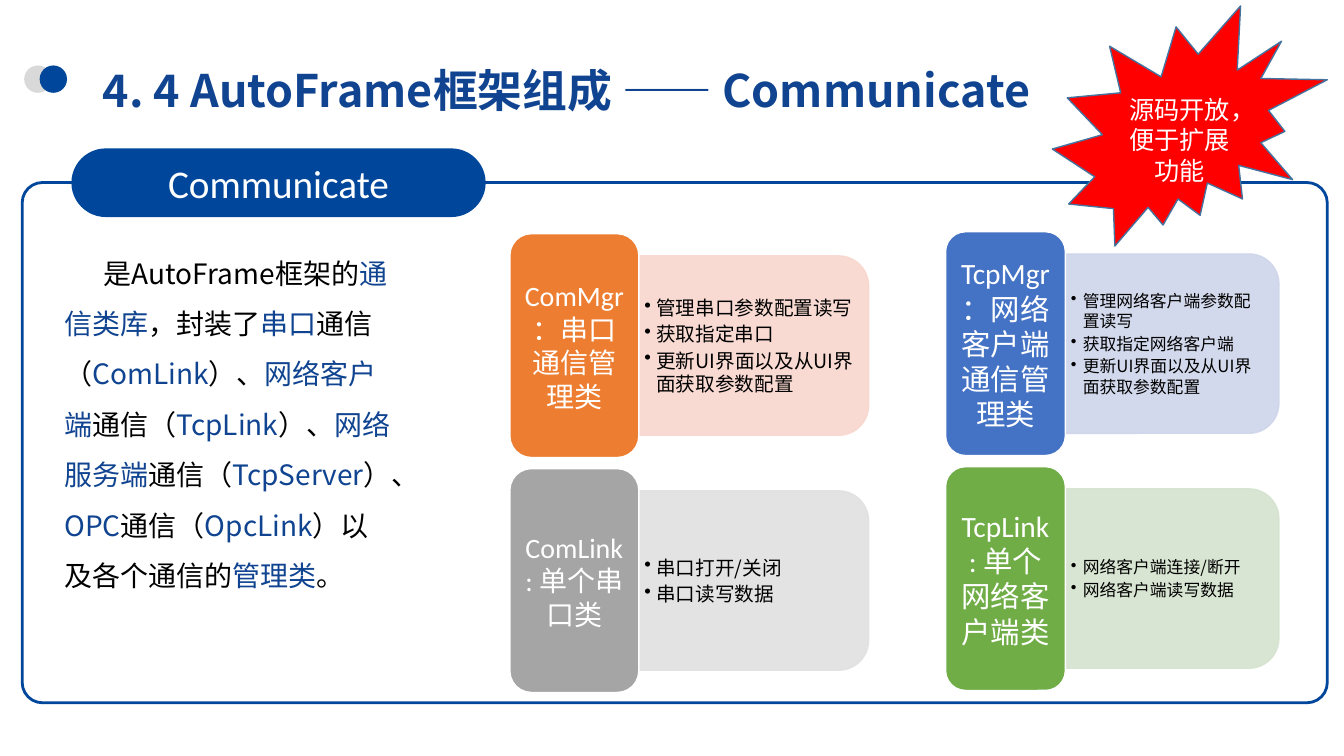
from itertools import cycle

from lxml.etree import SubElement
from pptx import Presentation
from pptx.dml.color import RGBColor
from pptx.enum.shapes import MSO_SHAPE as Preset
from pptx.enum.text import MSO_ANCHOR as Anchor, PP_ALIGN as Align
from pptx.oxml.ns import qn
from pptx.util import Cm, Pt

SANS = "Noto Sans CJK SC"
LATIN = "Calibri"

WHITE = RGBColor(0xFF, 0xFF, 0xFF)
BLACK = RGBColor(0, 0, 0)
NAVY = RGBColor(0x00, 0x47, 0x9B)
TEXT_BLUE = RGBColor(0x10, 0x44, 0x91)
LIGHT_GREY = RGBColor(0xD9, 0xD9, 0xD9)
RED = RGBColor(0xFF, 0, 0)
SEAL_LINE = RGBColor(0x43, 0x73, 0x9E)
ORANGE = RGBColor(0xED, 0x7D, 0x31)
ORANGE_TINT = RGBColor(0xF8, 0xD7, 0xCE)
GREY = RGBColor(0xA5, 0xA5, 0xA5)
GREY_TINT = RGBColor(0xE1, 0xE1, 0xE1)
BLUE = RGBColor(0x44, 0x72, 0xC4)
BLUE_TINT = RGBColor(0xCF, 0xD5, 0xEA)
GREEN = RGBColor(0x70, 0xAD, 0x47)
GREEN_TINT = RGBColor(0xD5, 0xE3, 0xCF)

# Spans alternate between plain and highlighted text
INTRO = [
    "是AutoFrame框架的", "通信类库", "，封装了", "串口", "通信（", "ComLink",
    "）、", "网络客户端", "通信（", "TcpLink", "）、", "网络服务端", "通信（",
    "TcpServer", "）、", "OPC", "通信（", "OpcLink", "）以及各个通信的", "管理类", "。",
]
SERIAL_CARDS = [
    ("ComMgr：串口通信管理类", ORANGE, ORANGE_TINT,
     ["管理串口参数配置读写", "获取指定串口", "更新UI界面以及从UI界面获取参数配置"]),
    ("ComLink: 单个串口类", GREY, GREY_TINT, ["串口打开/关闭", "串口读写数据"]),
]
NETWORK_CARDS = [
    ("TcpMgr：网络客户端通信管理类", BLUE, BLUE_TINT,
     ["管理网络客户端参数配置读写", "获取指定网络客户端", "更新UI界面以及从UI界面获取参数配置"]),
    ("TcpLink: 单个网络客户端类", GREEN, GREEN_TINT,
     ["网络客户端连接/断开", "网络客户端读写数据"]),
]
CARD_HEIGHT, CARD_PITCH = 5.64, 5.92
DETAIL_HEIGHT = 4.52


def add_preset(page, preset, left, top, width, height, fill=None, line=None, weight=1):
    shape = page.shapes.add_shape(preset, Cm(left), Cm(top), Cm(width), Cm(height))
    shape.shadow.inherit = False
    if fill is None:
        shape.fill.background()
    else:
        shape.fill.solid()
        shape.fill.fore_color.rgb = fill
    if line is None:
        shape.line.fill.background()
    else:
        shape.line.color.rgb = line
        shape.line.width = Pt(weight)
    return shape


def set_frame(shape, anchor, insets=(0.25, 0.13, 0.25, 0.13)):
    """Wrap the text, anchor it, and set left, top, right and bottom insets."""
    frame = shape.text_frame
    frame.word_wrap = True
    frame.vertical_anchor = anchor
    (frame.margin_left, frame.margin_top,
     frame.margin_right, frame.margin_bottom) = map(Cm, insets)
    return frame


def add_text_box(page, left, top, width, height, anchor, **options):
    box = page.shapes.add_textbox(Cm(left), Cm(top), Cm(width), Cm(height))
    return set_frame(box, anchor, **options)


def add_span(para, text, size, color, font=SANS, bold=False):
    span = para.add_run()
    span.text = text
    span.font.size = Pt(size)
    span.font.bold = bold
    span.font.color.rgb = color
    span.font.name = font
    SubElement(span.font._element, qn("a:ea")).set("typeface", SANS)


def add_centred_text(shape, text, size, insets=(0.25, 0.13, 0.25, 0.13)):
    para = set_frame(shape, Anchor.MIDDLE, insets).paragraphs[0]
    para.alignment = Align.CENTER
    add_span(para, text, size, WHITE, LATIN)


def set_indent(para, left, first):
    properties = para._p.get_or_add_pPr()
    properties.set("marL", str(Cm(left)))
    properties.set("indent", str(Cm(first)))
    return properties


def add_header(page, left, top, width, height):
    dot = 0.69
    for offset, color in ((0, LIGHT_GREY), (0.39, NAVY)):
        add_preset(page, Preset.OVAL, left + offset, top + 0.63, dot, dot, color)
    title_left = left + 1.73
    frame = add_text_box(page, title_left, top, left + width - title_left, height,
                         Anchor.MIDDLE)
    para = frame.paragraphs[0]
    para.line_spacing = 1.4
    add_span(para, "4. 4 AutoFrame框架组成 —— Communicate", 32, TEXT_BLUE, bold=True)


def add_panel(page, left, top, width, height):
    """Outlined panel with its heading pill and the introduction text."""
    outline = add_preset(page, Preset.ROUNDED_RECTANGLE, left, top, width, height,
                         line=NAVY, weight=2)
    outline.adjustments[0] = 0.039
    pill = add_preset(page, Preset.ROUNDED_RECTANGLE, left + 1.24, top - 0.86,
                      10.44, 1.73, NAVY)
    pill.adjustments[0] = 0.5
    add_centred_text(pill, "Communicate", 28)

    frame = add_text_box(page, left + 0.81, top + 1.3, 8.84, 10.52, Anchor.TOP)
    para = frame.paragraphs[0]
    set_indent(para, 0, 1)
    para.line_spacing = 1.5
    for text, color in zip(INTRO, cycle((BLACK, TEXT_BLUE))):
        add_span(para, text, 20, color)


def add_seal(page, left, top, width, height):
    seal = add_preset(page, Preset.EXPLOSION2, left, top, width, height, RED, SEAL_LINE)
    add_centred_text(seal, "源码开放，便于扩展功能", 18, (0, 0.5, 0, 0))


def add_card(page, left, top, name_width, detail_width, card, name_size, detail_size,
             name_inset):
    """Coloured class name with a tinted tab of details on its right."""
    name, color, tint, details = card
    detail_left = left + name_width
    middle = top + CARD_HEIGHT / 2

    # The tab is turned by 90 degrees, so its frame has the sides swapped
    tab = add_preset(page, Preset.ROUND_2_SAME_RECTANGLE,
                     detail_left + (detail_width - DETAIL_HEIGHT) / 2,
                     middle - detail_width / 2, DETAIL_HEIGHT, detail_width, tint, tint)
    tab.rotation = 90
    for swatch in tab._element.spPr.iter(qn("a:srgbClr")):
        SubElement(swatch, qn("a:alpha")).set("val", "90000")

    text_height = 4.06
    frame = add_text_box(page, detail_left, middle - text_height / 2,
                         detail_width - 0.22, text_height, Anchor.MIDDLE,
                         insets=(0.14, 0.08, 0.14, 0.08))
    for index, detail in enumerate(details):
        para = frame.add_paragraph() if index else frame.paragraphs[0]
        properties = set_indent(para, 0.3, -0.3)
        para.space_after = Pt(0.15 * detail_size)
        SubElement(properties, qn("a:buChar")).set("char", "•")
        add_span(para, detail, detail_size, BLACK)

    plate = add_preset(page, Preset.ROUNDED_RECTANGLE, left, top, name_width,
                       CARD_HEIGHT, color, WHITE)
    add_centred_text(plate, name, name_size, (name_inset, 0.1, name_inset, 0.1))


def add_card_column(page, left, top, name_width, detail_width, cards, **sizes):
    for row, card in enumerate(cards):
        add_card(page, left, top + row * CARD_PITCH, name_width, detail_width, card,
                 **sizes)


def main():
    deck = Presentation()
    deck.slide_width, deck.slide_height = Cm(33.87), Cm(19.05)
    page = deck.slides.add_slide(deck.slide_layouts[6])
    add_header(page, 0.61, 1.02, 26.95, 1.96)
    add_panel(page, 0.56, 4.6, 32.89, 13.11)
    add_seal(page, 26.52, 0.15, 6.93, 6.05)
    add_card_column(page, 12.85, 5.89, 3.25, 5.79, SERIAL_CARDS,
                    name_size=20, detail_size=14, name_inset=0.2)
    add_card_column(page, 23.83, 5.84, 3.02, 5.38, NETWORK_CARDS,
                    name_size=21, detail_size=12, name_inset=0.22)
    deck.save("out.pptx")


if __name__ == "__main__":
    main()
